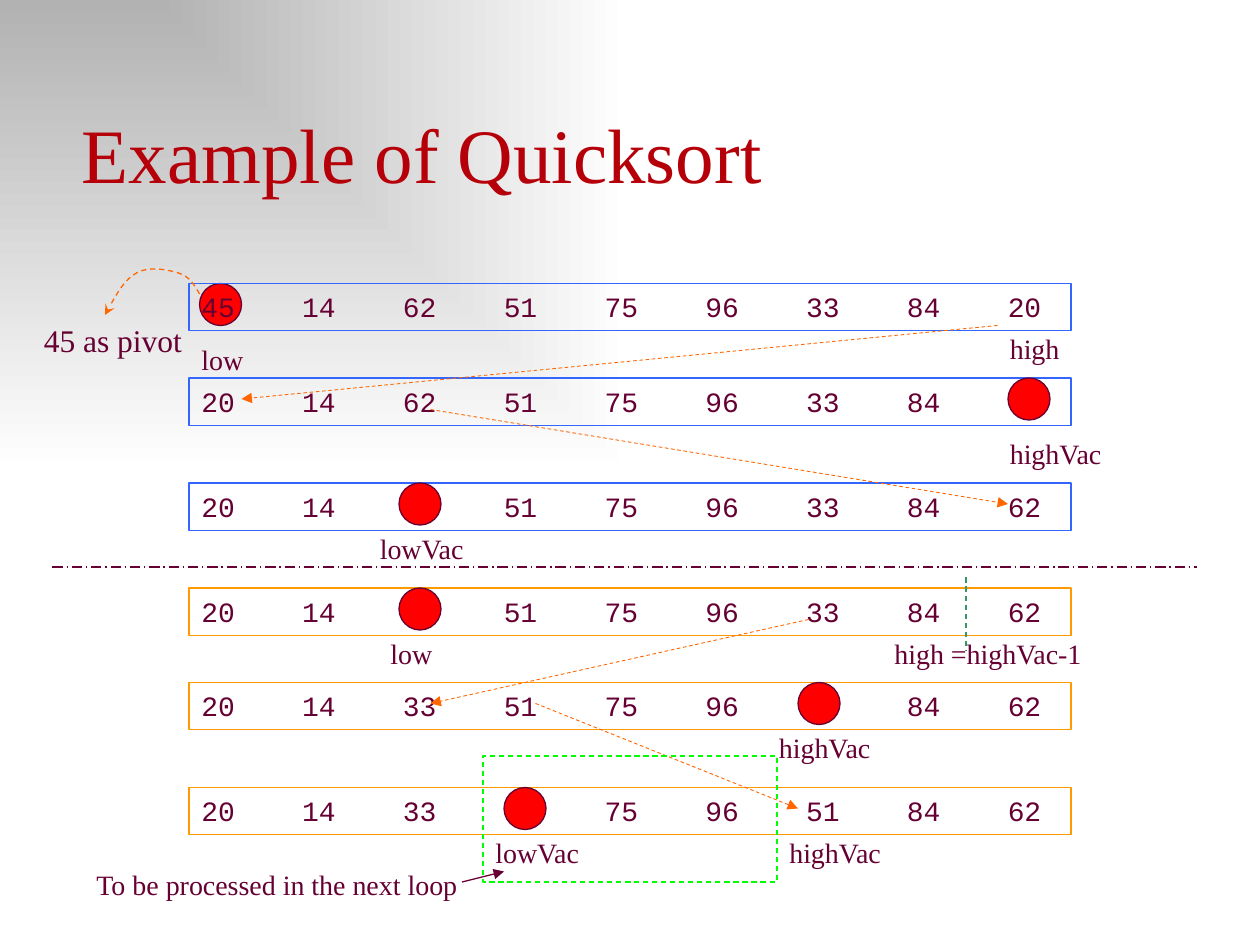
from typing import NamedTuple, Optional

from lxml import etree
from pptx import Presentation, util as u
from pptx.dml.color import RGBColor
from pptx.enum import dml, shapes, text
from pptx.oxml import parse_xml
from pptx.oxml.ns import nsdecls, qn

SCALE = 7620  # EMU per px, 120 px to the inch
SERIF, MONO = "Times New Roman", "Courier New"
PLUM, RED, TITLE_RED = "660033", "FF0000", "B60009"
BLUE, AMBER, ORANGE, TEAL, GREEN = "3366FF", "FF9900", "FF6600", "339966", "00FF00"
DASH = dml.MSO_LINE.DASH
ROW_LEFT, ROW_WIDTH, ROW_HEIGHT = 180, 840, 45
COLUMN, VACANCY = 96, 40


class Row(NamedTuple):
    top: int
    color: str
    values: str  # "_" marks the vacancy
    circle_left: int
    circle_behind: bool = False


class Label(NamedTuple):
    left: int
    top: int
    width: int
    words: str
    size: int = 16


class Line(NamedTuple):
    start: tuple[int, int]
    end: tuple[int, int]
    color: str = ORANGE
    width: float = 0.5
    dash: Optional[dml.MSO_LINE] = DASH
    head: Optional[str] = "triangle"


ROWS = [
    Row(270, BLUE, "45 14 62 51 75 96 33 84 20", 190, True),
    Row(360, BLUE, "20 14 62 51 75 96 33 84 _", 960),
    Row(460, BLUE, "20 14 _ 51 75 96 33 84 62", 380),
    Row(560, AMBER, "20 14 _ 51 75 96 33 84 62", 380),
    Row(650, AMBER, "20 14 33 51 75 96 _ 84 62", 760),
    Row(750, AMBER, "20 14 33 _ 75 96 51 84 62", 480),
]
LABELS = [
    Label(30, 300, 190, "45 as pivot", 18),
    Label(950, 310, 110, "high"),
    Label(950, 410, 130, "highVac"),
    Label(180, 320, 110, "low"),
    Label(350, 500, 110, "lowVac"),
    Label(360, 600, 110, "low"),
    Label(840, 600, 210, "high =highVac-1"),
    Label(730, 690, 130, "highVac"),
    Label(740, 790, 130, "highVac"),
    Label(460, 790, 130, "lowVac"),
    Label(80, 820, 400, "To be processed in the next loop"),
]
LINES = [
    # Values moved into the vacancy
    Line((950, 310), (230, 380)),
    Line((410, 390), (960, 480)),
    Line((770, 590), (410, 670)),
    Line((510, 670), (760, 770)),
    # Divider, high marker and note pointer
    Line((50, 540), (1140, 540), PLUM, 0.75, dml.MSO_LINE.LONG_DASH_DOT, None),
    Line((920, 550), (920, 620), TEAL, 0.75, DASH, None),
    Line((440, 840), (480, 830), PLUM, 0.75, None),
]
# Start point, then two controls and an end for each curve
PIVOT_CURVE = [(190, 280), (185, 271), (180, 263), (170, 260), (160, 257),
               (142, 253), (130, 260), (119, 266), (109, 283), (100, 300)]


def px(*lengths: int) -> list[u.Emu]:
    return [u.Emu(length * SCALE) for length in lengths]


def rgb(color: str) -> RGBColor:
    return RGBColor.from_string(color)


def write(shape, words: str, *, size=16, font=SERIF, color=PLUM,
          anchor=text.MSO_ANCHOR.TOP):
    frame = shape.text_frame
    frame.word_wrap = True
    frame.auto_size = text.MSO_AUTO_SIZE.SHAPE_TO_FIT_TEXT
    frame.vertical_anchor = anchor
    paragraph = frame.paragraphs[0]
    paragraph.alignment = text.PP_ALIGN.LEFT
    run = paragraph.add_run()
    run.text = words
    run.font.size, run.font.name = u.Pt(size), font
    run.font.color.rgb = rgb(color)
    return paragraph


def style_line(shape, color: str, width=0.75, dash=None, head=None):
    shape.line.color.rgb = rgb(color)
    shape.line.width = u.Pt(width)
    if dash is not None:
        shape.line.dash_style = dash
    if head:
        outline = shape.line._get_or_add_ln()
        etree.SubElement(outline, qn("a:tailEnd"), type=head)


def draw_shape(slide, kind, box: tuple[int, ...], line: str, fill=None, dash=None):
    shape = slide.shapes.add_shape(kind, *px(*box))
    shape.shadow.inherit = False
    if fill:
        shape.fill.solid()
        shape.fill.fore_color.rgb = rgb(fill)
    else:
        shape.fill.background()
    style_line(shape, line, dash=dash)
    return shape


def draw_row(slide, row: Row):
    def draw_circle():
        draw_shape(slide, shapes.MSO_SHAPE.OVAL,
                   (row.circle_left, row.top, VACANCY, VACANCY), PLUM, RED)

    if row.circle_behind:
        draw_circle()
    box = draw_shape(slide, shapes.MSO_SHAPE.RECTANGLE,
                     (ROW_LEFT, row.top, ROW_WIDTH, ROW_HEIGHT), row.color)
    values = row.values.split()
    words = "\t".join("" if value == "_" else value for value in values)
    paragraph = write(box, words.rstrip(), font=MONO)
    # One tab stop for each column
    tabs = etree.SubElement(paragraph._p.get_or_add_pPr(), qn("a:tabLst"))
    for column in range(1, len(values)):
        etree.SubElement(tabs, qn("a:tab"), pos=str(column * COLUMN * SCALE), algn="l")
    if not row.circle_behind:
        draw_circle()


def draw_label(slide, label: Label):
    box = slide.shapes.add_textbox(*px(label.left, label.top, label.width, 44))
    write(box, label.words, size=label.size)


def draw_line(slide, line: Line):
    connector = slide.shapes.add_connector(
        shapes.MSO_CONNECTOR.STRAIGHT, *px(*line.start, *line.end))
    style_line(connector, line.color, line.width, line.dash, line.head)
    etree.SubElement(connector._element.spPr, qn("a:effectLst"))


def draw_curve(slide, points: list[tuple[int, int]]):
    builder = slide.shapes.build_freeform(*points[0], scale=SCALE)
    builder.add_line_segments(points[1:], close=False)
    curve = builder.convert_to_shape()
    curve.shadow.inherit = False
    curve.fill.background()
    style_line(curve, ORANGE, dash=DASH, head="stealth")
    # Merge every three segments into one Bézier curve
    segments = list(curve._element.iter(qn("a:lnTo")))
    for first in range(0, len(segments), 3):
        bezier, *others = segments[first:first + 3]
        bezier.tag = qn("a:cubicBezTo")
        for other in others:
            bezier.append(other[0])
            other.getparent().remove(other)


def set_background(slide):
    slide._element.cSld.insert(0, parse_xml(
        f'<p:bg {nsdecls("p", "a")}><p:bgPr><a:gradFill rotWithShape="0"><a:gsLst>'
        '<a:gs pos="0"><a:srgbClr val="B2B2B2"/></a:gs>'
        '<a:gs pos="100000"><a:srgbClr val="FFFFFF"/></a:gs></a:gsLst>'
        '<a:path path="rect"><a:fillToRect r="100000" b="100000"/></a:path>'
        '</a:gradFill><a:effectLst/></p:bgPr></p:bg>'))


def main():
    presentation = Presentation()
    presentation.slide_width, presentation.slide_height = px(1200, 900)
    slide = presentation.slides.add_slide(presentation.slide_layouts[5])
    set_background(slide)

    title = slide.shapes.title
    title.left, title.top, title.width, title.height = px(66, 95, 1134, 100)
    write(title, "Example of Quicksort", size=44, color=TITLE_RED,
          anchor=text.MSO_ANCHOR.BOTTOM)

    for row in ROWS:
        draw_row(slide, row)
    draw_curve(slide, PIVOT_CURVE)
    for label in LABELS:
        draw_label(slide, label)
    for line in LINES:
        draw_line(slide, line)
    # Range left for the next loop
    draw_shape(slide, shapes.MSO_SHAPE.RECTANGLE, (460, 720, 280, 120), GREEN, dash=DASH)
    presentation.save("out.pptx")


if __name__ == "__main__":
    main()
